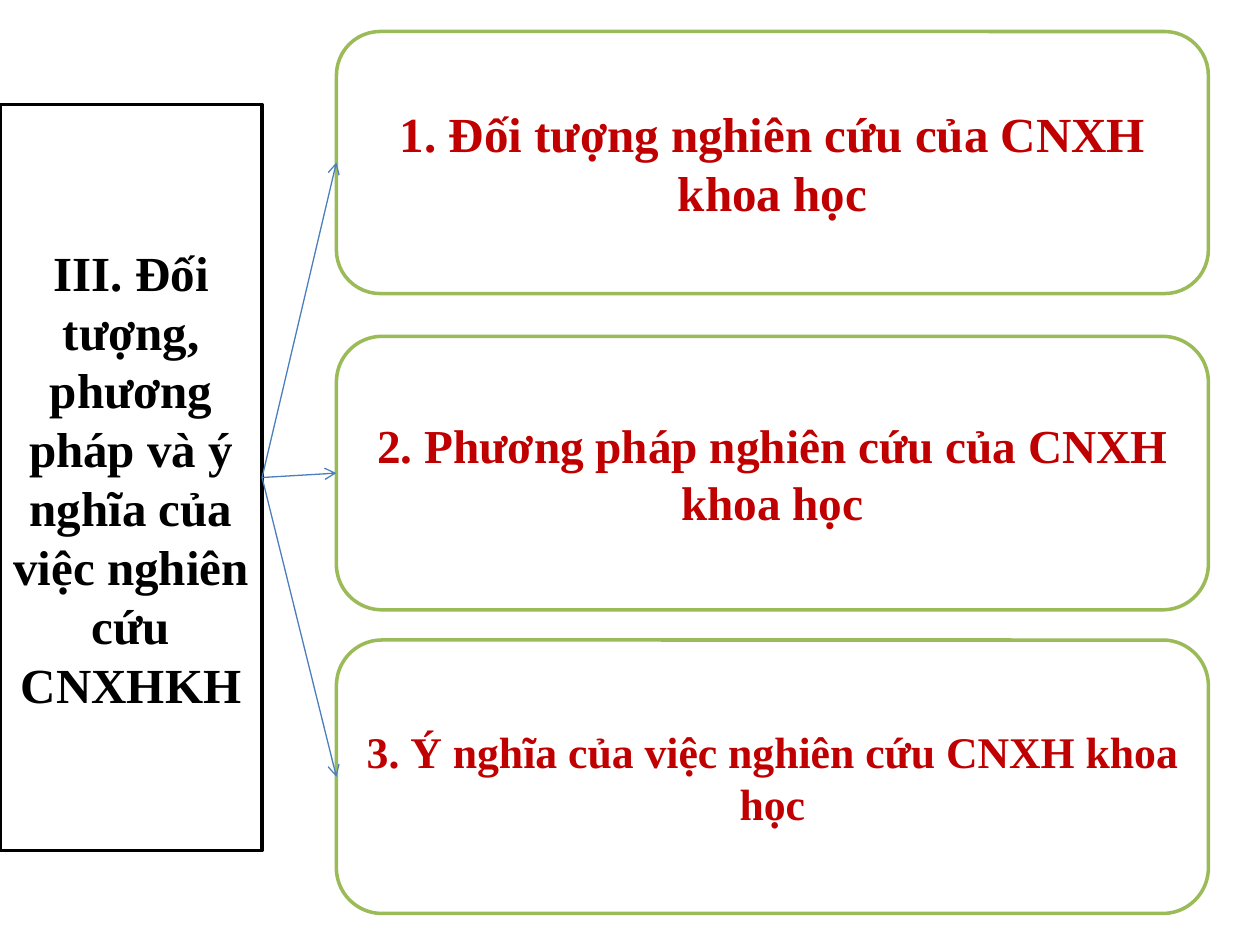
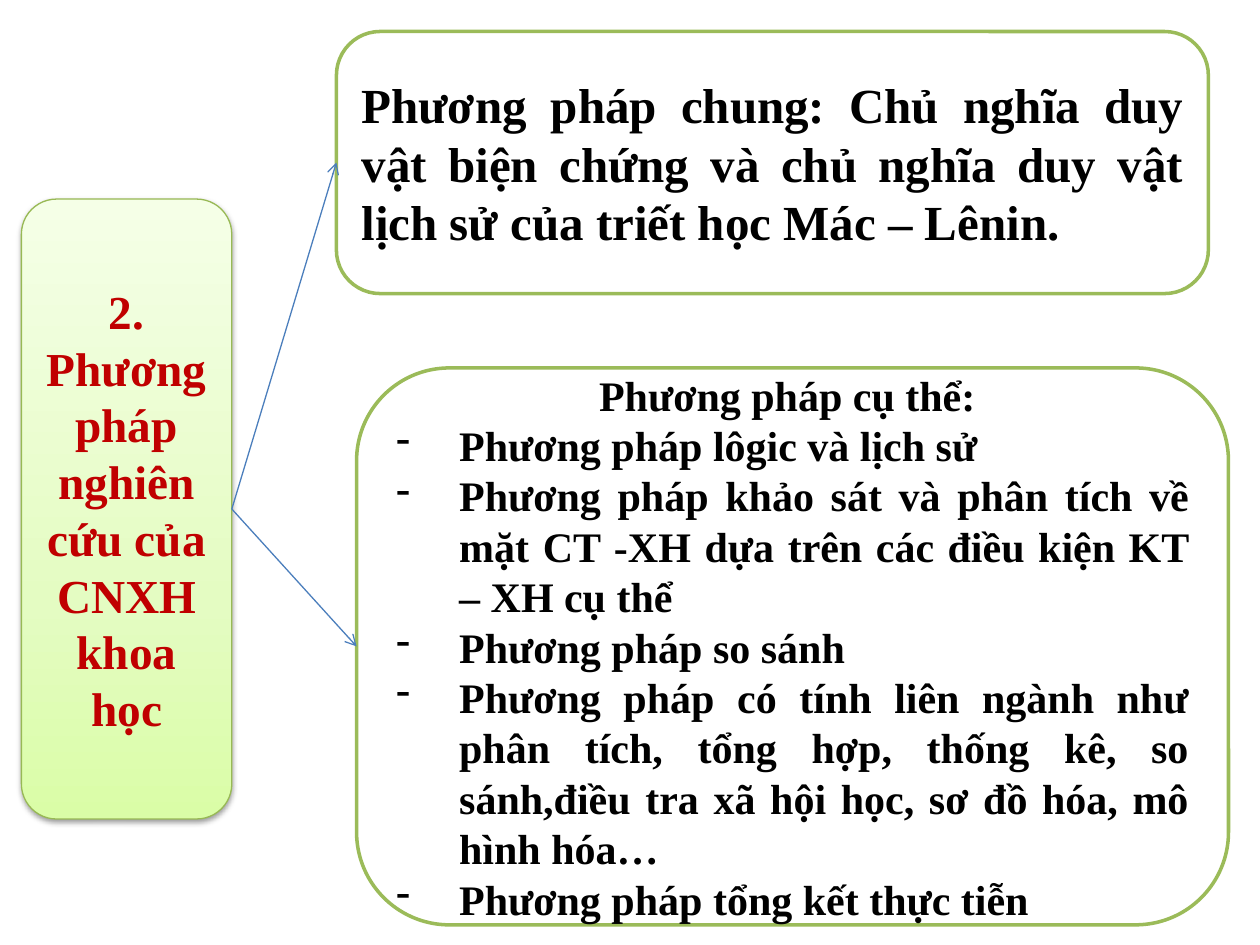
from lxml.etree import SubElement
from pptx import Presentation
from pptx.dml.color import RGBColor
from pptx.enum.shapes import MSO_CONNECTOR as CONNECTOR, MSO_SHAPE as SHAPE
from pptx.enum.text import MSO_ANCHOR as ANCHOR, PP_ALIGN as ALIGN
from pptx.oxml.ns import qn
from pptx.util import Inches, Pt

BLACK, WHITE, RED = "000000", "FFFFFF", "C00000"
GREEN, PALE_GREEN, BLUE = "9BBB59", "98B955", "4B7EBC"
GRADIENT = {0: "DAFDA7", 35: "E4FCC2", 100: "F5FFE7"}
LEFT_SITE, RIGHT_SITE = 1, 3
BRANCH_LEFT, BRANCH_WIDTH = 2.67, 6.92

TOPICS = [
    (0.25, 2.08, 28, "1. Đối tượng nghiên cứu của CNXH khoa học"),
    (2.67, 2.17, 27, "2. Phương pháp nghiên cứu của CNXH khoa học"),
    (5.08, 2.17, 25, "3. Ý nghĩa của việc nghiên cứu CNXH khoa học"),
]
METHODS = [
    "Phương pháp lôgic và lịch sử ",
    "Phương pháp khảo sát và phân tích về mặt CT -XH dựa trên các điều kiện KT – XH cụ thể",
    "Phương pháp so sánh ",
    "Phương pháp có tính liên ngành như phân tích, tổng hợp, thống kê, so sánh,điều tra xã hội học, "
    "sơ đồ hóa, mô hình hóa…",
    "Phương pháp tổng kết thực tiễn",
]


def color(value):
    return RGBColor.from_string(value)


def add_xml(parent, tag, **attributes):
    return SubElement(parent, qn(tag), {k: str(v) for k, v in attributes.items()})


class Deck:
    def __init__(self):
        self.prs = Presentation()
        self.prs.slide_width, self.prs.slide_height = Inches(10), Inches(7.5)
        self.s = None

    def slide(self):
        self.s = self.prs.slides.add_slide(self.prs.slide_layouts[6])

    def box(self, left, top, width, height, kind=SHAPE.ROUNDED_RECTANGLE, line=GREEN, weight=2):
        sp = self.s.shapes.add_shape(kind, *map(Inches, (left, top, width, height)))
        sp.shadow.inherit = False
        sp.fill.solid()
        sp.fill.fore_color.rgb = color(WHITE)
        sp.line.color.rgb = color(line)
        sp.line.width = Pt(weight)
        sp.text_frame.word_wrap = True
        sp.text_frame.vertical_anchor = ANCHOR.MIDDLE
        return sp

    def branch(self, top, height, left=BRANCH_LEFT):
        return self.box(left, top, BRANCH_WIDTH, height)

    def glow(self, sp):
        sp.fill.gradient()
        sp.fill.gradient_angle = 90
        spPr = sp._element.spPr
        stops = spPr.find(qn("a:gradFill")).find(qn("a:gsLst"))
        stops[:] = []
        for position, value in GRADIENT.items():
            add_xml(add_xml(stops, "a:gs", pos=position * 1000), "a:srgbClr", val=value)
        shadow = add_xml(spPr.find(qn("a:effectLst")), "a:outerShdw", blurRad=Pt(3.1), dist=Pt(1.6),
                         dir=90 * 60000, rotWithShape=0)
        add_xml(add_xml(shadow, "a:srgbClr", val=BLACK), "a:alpha", val=38000)

    def text(self, sp, text, size, ink=BLACK, align=ALIGN.CENTER, bullet=False):
        tf = sp.text_frame
        p = tf.add_paragraph() if tf.text else tf.paragraphs[0]
        p.alignment = align
        if bullet:
            pPr = p._p.get_or_add_pPr()
            pPr.set("marL", str(Inches(0.5)))
            pPr.set("indent", str(-Inches(0.5)))
            add_xml(pPr, "a:buFontTx")
            add_xml(pPr, "a:buChar", char="-")
        r = p.add_run()
        r.text = text
        for name, value in {"name": "Times New Roman", "size": Pt(size), "bold": True}.items():
            setattr(r.font, name, value)
        r.font.color.rgb = color(ink)

    def arrow(self, start, end):
        line = self.s.shapes.add_connector(CONNECTOR.STRAIGHT, 0, 0, 0, 0)
        line.begin_connect(start, RIGHT_SITE)
        line.end_connect(end, LEFT_SITE)
        line.line.color.rgb = color(BLUE)
        line.line.width = Pt(0.75)
        add_xml(line.line._get_or_add_ln(), "a:tailEnd", type="arrow")
        add_xml(line._element.spPr, "a:effectLst")


def overview(deck):
    deck.slide()
    chapter = deck.box(0, 0.83, 2.08, 5.92, SHAPE.RECTANGLE, BLACK)
    deck.text(chapter, "III. Đối tượng, phương pháp và ý nghĩa của việc nghiên cứu CNXHKH", 28)
    for top, height, size, title in TOPICS:
        topic = deck.branch(top, height)
        deck.text(topic, title, size, RED)
        deck.arrow(chapter, topic)


def research_methods(deck):
    deck.slide()
    topic = deck.box(0.17, 1.58, 1.67, 4.92, line=PALE_GREEN, weight=0.75)
    deck.glow(topic)
    _, _, size, title = TOPICS[1]
    deck.text(topic, title, size, RED)

    general = deck.branch(0.25, 2.08)
    deck.text(general, "Phương pháp chung: Chủ nghĩa duy vật biện chứng và chủ nghĩa duy vật lịch sử "
              "của triết học Mác – Lênin.", 28, align=ALIGN.JUSTIFY)

    specific = deck.branch(2.92, 4.42, left=2.83)
    deck.text(specific, "Phương pháp cụ thể: ", 24)
    for method in METHODS:
        deck.text(specific, method, 24, align=ALIGN.JUSTIFY, bullet=True)

    for target in (general, specific):
        deck.arrow(topic, target)


def main():
    deck = Deck()
    overview(deck)
    research_methods(deck)
    deck.prs.save("out.pptx")


if __name__ == "__main__":
    main()
